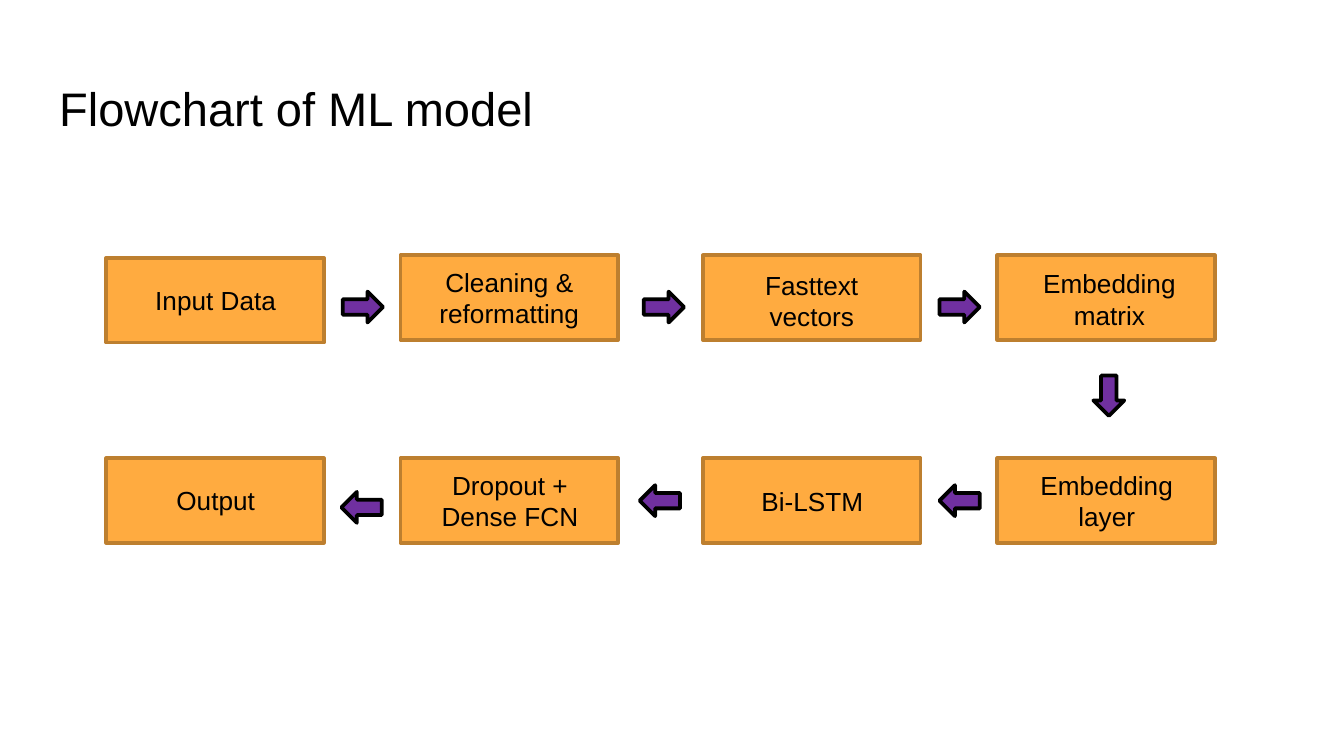
from pptx import Presentation
from pptx.dml.color import RGBColor
from pptx.enum.shapes import MSO_SHAPE
from pptx.enum.text import MSO_ANCHOR, MSO_AUTO_SIZE, PP_ALIGN
from pptx.util import Inches, Pt

BLACK = RGBColor(0x00, 0x00, 0x00)
ORANGE = RGBColor(0xFF, 0xAB, 0x40)
BROWN = RGBColor(0xBD, 0x7F, 0x2F)
PURPLE = RGBColor(0x70, 0x30, 0xA0)

STEP_SIZE = (1.62, 0.63)
ARROW_SIZE = (0.3, 0.23)
COLUMNS = (0.79, 2.98, 5.23, 7.42)

# Step: column, top, wording, label (left, top, width, height)
STEPS = [
    (0, 1.92, "Input Data", (1.04, 2.06, 1.13, 0.34)),
    (1, 1.9, "Cleaning & reformatting", (3.1, 1.93, 1.38, 0.57)),
    (2, 1.9, "Fasttext vectors", (5.35, 1.95, 1.38, 0.57)),
    (3, 1.9, "Embedding matrix", (7.64, 1.94, 1.23, 0.57)),
    (3, 3.41, "Embedding layer", (7.62, 3.44, 1.23, 0.57)),
    (2, 3.41, "Bi-LSTM", (5.43, 3.56, 1.23, 0.34)),
    (1, 3.41, "Dropout + Dense FCN", (3.18, 3.44, 1.23, 0.57)),
    (0, 3.41, "Output", (0.99, 3.55, 1.23, 0.34)),
]

# Arrow: left, top, rotation, in reading order of the flow
ARROWS = [
    (2.55, 2.17, 0),
    (4.79, 2.17, 0),
    (6.99, 2.17, 0),
    (8.1, 2.83, 90),
    (6.99, 3.61, 180),
    (4.76, 3.61, 180),
    (2.54, 3.66, 180),
]


class Flowchart:
    font_name = "Arial"
    title_size = Pt(25.2)
    label_size = Pt(14)
    line_width = Pt(2)

    def __init__(self, slide):
        self.slide = slide

    def style_text(self, frame, text, size, align):
        frame.text = text
        frame.word_wrap = True
        paragraph = frame.paragraphs[0]
        paragraph.alignment = align
        paragraph.font.name = self.font_name
        paragraph.font.size = size
        paragraph.font.color.rgb = BLACK

    def title(self, text, left, top, width, height):
        heading = self.slide.shapes.title
        heading.left, heading.top = Inches(left), Inches(top)
        heading.width, heading.height = Inches(width), Inches(height)
        frame = heading.text_frame
        self.style_text(frame, text, self.title_size, PP_ALIGN.LEFT)
        frame.auto_size = MSO_AUTO_SIZE.NONE
        frame.vertical_anchor = MSO_ANCHOR.TOP
        frame.margin_left = frame.margin_right = Inches(0.1)
        frame.margin_top = frame.margin_bottom = Inches(0.1)

    def block(self, kind, left, top, size, fill, line):
        shape = self.slide.shapes.add_shape(
            kind, Inches(left), Inches(top), *map(Inches, size))
        shape.shadow.inherit = False
        shape.fill.solid()
        shape.fill.fore_color.rgb = fill
        shape.line.color.rgb = line
        shape.line.width = self.line_width
        return shape

    def label(self, text, area):
        box = self.slide.shapes.add_textbox(*map(Inches, area))
        frame = box.text_frame
        self.style_text(frame, text, self.label_size, PP_ALIGN.CENTER)
        frame.auto_size = MSO_AUTO_SIZE.SHAPE_TO_FIT_TEXT
        frame.vertical_anchor = MSO_ANCHOR.MIDDLE

    def step(self, column, top, text, label_area):
        self.block(MSO_SHAPE.RECTANGLE, COLUMNS[column], top, STEP_SIZE,
                   ORANGE, BROWN)
        self.label(text, label_area)

    def arrow(self, left, top, rotation):
        arrow = self.block(MSO_SHAPE.RIGHT_ARROW, left, top, ARROW_SIZE,
                           PURPLE, BLACK)
        arrow.rotation = rotation


def main():
    # Widescreen slide, 16:9
    deck = Presentation()
    deck.slide_width = Inches(10)
    deck.slide_height = Inches(10 * 9 / 16)
    chart = Flowchart(deck.slides.add_slide(deck.slide_layouts[5]))

    # Title
    chart.title("Flowchart of ML model", 0.34, 0.49, 9.32, 0.63)

    # Steps of the model
    for step in STEPS:
        chart.step(*step)

    # Arrows between the steps
    for arrow in ARROWS:
        chart.arrow(*arrow)

    deck.save("out.pptx")


if __name__ == "__main__":
    main()
